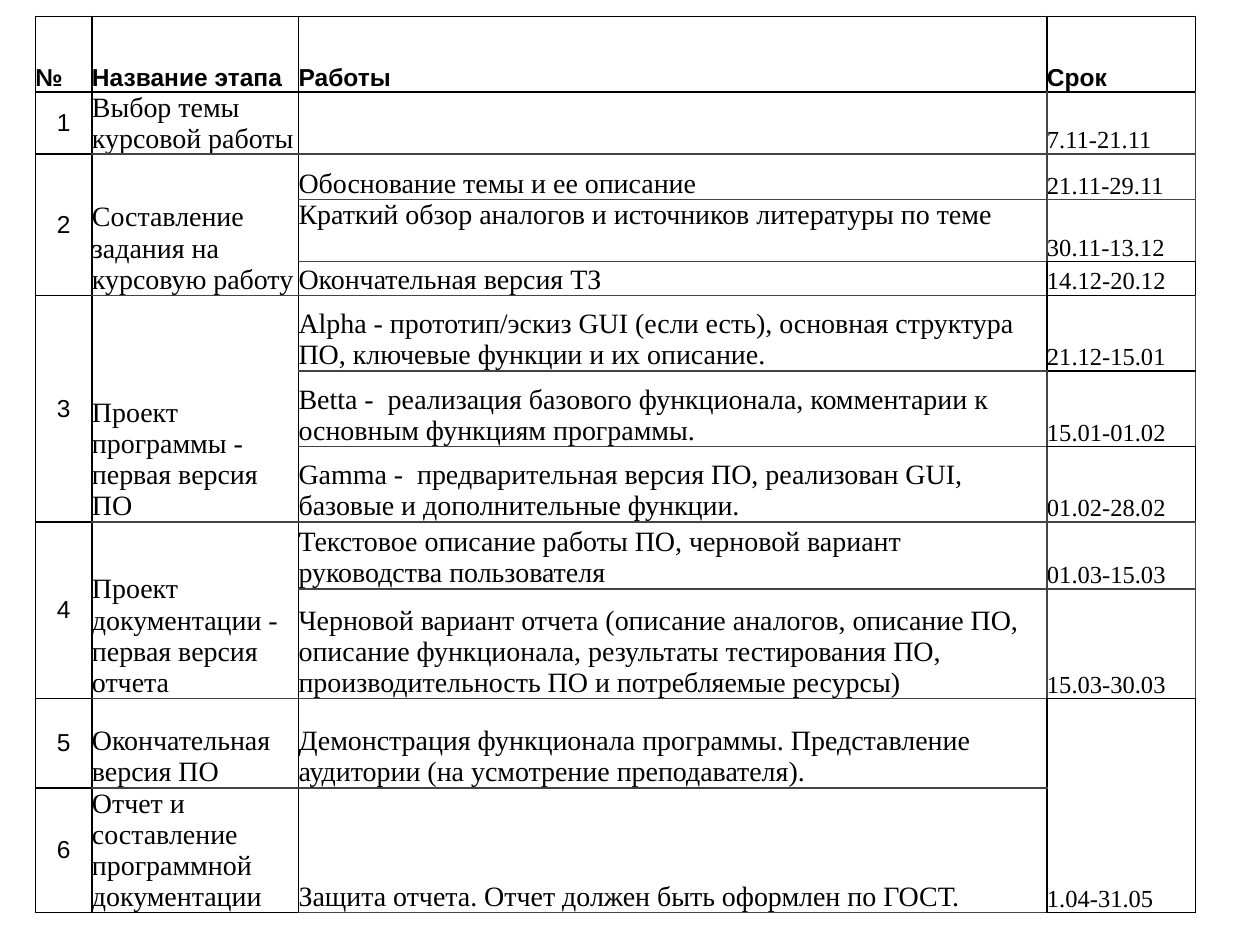
from dataclasses import dataclass

from lxml.etree import SubElement
from pptx import Presentation
from pptx.dml.color import RGBColor
from pptx.enum.text import MSO_ANCHOR, PP_ALIGN
from pptx.oxml.ns import qn
from pptx.util import Inches, Pt


@dataclass
class Theme:
    ink: str = "000000"
    grey: str = "434343"
    paper: str = "FFFFFF"
    sans: str = "Arial"
    serif: str = "Times New Roman"
    small: int = 14
    large: int = 16
    line: int = 1


THEME = Theme()
NUM, NAME, WORK, DATE = range(4)
WIDTHS = [0.45, 1.64, 5.94, 1.18]
HEIGHTS = [0.6, 0.49, 0.36, 0.49, 0.27, 0.6, 0.6, 0.6, 0.53, 0.87, 0.71, 0.99]
HEADS = ["№", "Название этапа", "Работы", "Срок"]
STAGES = [
    ("Выбор темы курсовой работы", [("", "7.11-21.11")]),
    ("Составление задания на курсовую работу", [
        ("Обоснование темы и ее описание", "21.11-29.11"),
        ("Краткий обзор аналогов и источников литературы по теме", "30.11-13.12"),
        ("Окончательная версия ТЗ", "14.12-20.12"),
    ]),
    ("Проект программы - первая версия ПО", [
        ("Alpha - прототип/эскиз GUI (если есть), основная структура ПО, "
         "ключевые функции и их описание.", "21.12-15.01"),
        ("Betta -  реализация базового функционала, комментарии к "
         "основным функциям программы.", "15.01-01.02"),
        ("Gamma -  предварительная версия ПО, реализован GUI, базовые и "
         "дополнительные функции.", "01.02-28.02"),
    ]),
    ("Проект документации - первая версия отчета", [
        ("Текстовое описание работы ПО, черновой вариант руководства "
         "пользователя", "01.03-15.03"),
        ("Черновой вариант отчета (описание аналогов, описание ПО, описание "
         "функционала, результаты тестирования ПО, производительность ПО и "
         "потребляемые ресурсы)", "15.03-30.03"),
    ]),
    ("Окончательная версия ПО", [
        ("Демонстрация функционала программы. Представление аудитории "
         "(на усмотрение преподавателя).", "1.04-31.05"),
    ]),
    ("Отчет и составление программной документации", [
        ("Защита отчета. Отчет должен быть оформлен по ГОСТ.", ""),
    ]),
]
DATE_GREY = ["", "LRB", "LTRB", "LTR", "", "R", "LR", "LB", "LTRB", "LTR", "", ""]


def grey_sides(row, col):
    if row == 0 or col == NUM:
        return ""
    if col == DATE:
        return DATE_GREY[row]
    sides = "B" if row == 1 else "TB"
    if col == NAME:
        return "T" if row == len(HEIGHTS) - 1 else sides
    return sides + ("R" if "L" in DATE_GREY[row] else "")


def draw_edges(cell, grey):
    props = cell._tc.get_or_add_tcPr()
    for spot, side in enumerate("LRTB"):
        edge = SubElement(props, qn("a:ln" + side), w=str(Pt(THEME.line)))
        fill = SubElement(edge, qn("a:solidFill"))
        tint = THEME.grey if side in grey else THEME.ink
        SubElement(fill, qn("a:srgbClr"), val=tint)
        props.insert(spot, edge)


def style_cell(cell, row, col):
    cell.margin_left = cell.margin_right = 0
    cell.margin_top = cell.margin_bottom = 0
    cell.vertical_anchor = MSO_ANCHOR.BOTTOM
    if row == 0 or col == NUM:
        cell.fill.background()
    else:
        cell.fill.solid()
        cell.fill.fore_color.rgb = RGBColor.from_string(THEME.paper)
    draw_edges(cell, grey_sides(row, col))


def write(cell, text, face, size, bold=False):
    cell.text_frame.text = text
    for run in cell.text_frame.paragraphs[0].runs:
        run.font.name = face
        run.font.size = Pt(size)
        run.font.bold = bold
        run.font.color.rgb = RGBColor.from_string(THEME.ink)


def fill_stage(table, top, number, name, tasks):
    mark, title = table.cell(top, NUM), table.cell(top, NAME)
    write(mark, str(number), THEME.sans, THEME.small)
    mark.vertical_anchor = MSO_ANCHOR.MIDDLE
    mark.text_frame.paragraphs[0].alignment = PP_ALIGN.CENTER
    write(title, name, THEME.serif, THEME.large)
    for row, (work, date) in enumerate(tasks, top):
        write(table.cell(row, WORK), work, THEME.serif, THEME.large)
        write(table.cell(row, DATE), date, THEME.serif, THEME.small)
    last = top + len(tasks) - 1
    if last > top:
        mark.merge(table.cell(last, NUM))
        title.merge(table.cell(last, NAME))
    return last + 1


def add_plan(slide, left, top):
    frame = slide.shapes.add_table(
        len(HEIGHTS), len(WIDTHS), left, top,
        Inches(sum(WIDTHS)), Inches(sum(HEIGHTS)))
    table = frame.table
    table.first_row = table.horz_banding = False
    for col, width in enumerate(WIDTHS):
        table.columns[col].width = Inches(width)
    for row, height in enumerate(HEIGHTS):
        table.rows[row].height = Inches(height)
        for col in range(len(WIDTHS)):
            style_cell(table.cell(row, col), row, col)
    for col, head in enumerate(HEADS):
        write(table.cell(0, col), head, THEME.sans, THEME.small, True)
    row = 1
    for number, (name, tasks) in enumerate(STAGES, 1):
        row = fill_stage(table, row, number, name, tasks)
    table.cell(3, WORK).vertical_anchor = MSO_ANCHOR.TOP
    table.cell(row - 2, DATE).merge(table.cell(row - 1, DATE))


def main():
    deck = Presentation()
    deck.slide_width, deck.slide_height = Inches(10), Inches(7.5)
    slide = deck.slides.add_slide(deck.slide_layouts[6])
    add_plan(slide, Inches(0.28), Inches(0.13))
    deck.save("out.pptx")


if __name__ == "__main__":
    main()
